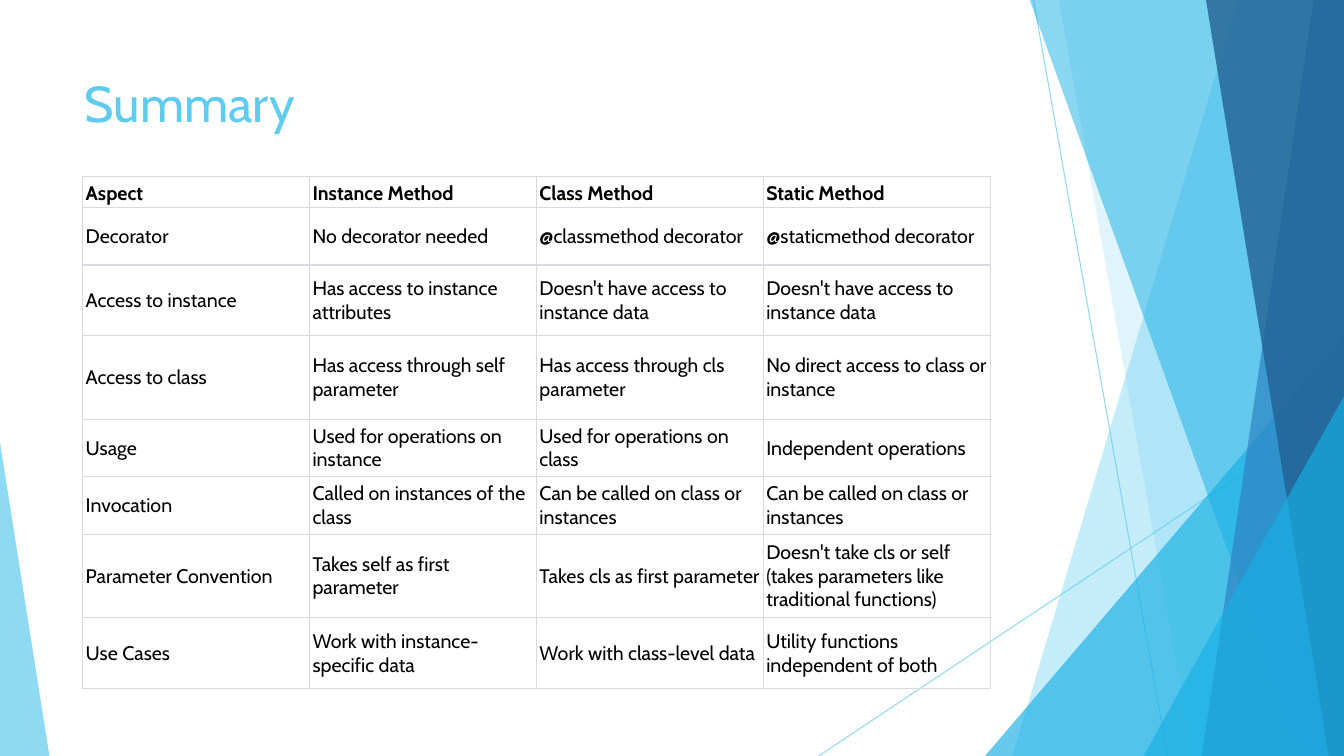
from lxml import etree
from pptx import Presentation
from pptx.dml.color import RGBColor
from pptx.enum.shapes import MSO_CONNECTOR, MSO_SHAPE
from pptx.enum.text import MSO_ANCHOR, MSO_AUTO_SIZE, PP_ALIGN
from pptx.oxml.ns import qn
from pptx.util import Pt

STRAIGHT = MSO_CONNECTOR.STRAIGHT
TRIANGLE = MSO_SHAPE.ISOSCELES_TRIANGLE
TOP, MIDDLE, BOTTOM = MSO_ANCHOR.TOP, MSO_ANCHOR.MIDDLE, MSO_ANCHOR.BOTTOM
NO_AUTOFIT = MSO_AUTO_SIZE.NONE
LEFT = PP_ALIGN.LEFT

PX = 9144
WIDTH, HEIGHT = 1333, 750
TITLE_ONLY = 5
FONT = "Cabin"

SKY = RGBColor(0x5F, 0xCB, 0xEF)
CYAN = RGBColor(0x17, 0xB0, 0xE4)
BLUE = RGBColor(0x2E, 0x83, 0xC3)
NAVY = RGBColor(0x22, 0x62, 0x92)
BLACK = RGBColor(0, 0, 0)
GRID = RGBColor(0xD9, 0xD9, 0xE3)

TITLE_FONT = {"name": FONT, "size": Pt(36), "bold": False}
CELL_FONT = {"name": FONT, "size": Pt(14)}
CELL_BOX = {"margin_left": 3 * PX, "margin_right": 3 * PX,
            "margin_top": 2 * PX, "margin_bottom": 2 * PX}

RAYS = [(1025, 0, 1158, HEIGHT), (WIDTH, 403, 812, HEIGHT)]
SHARDS = [
    ("band", (1228, 1004), SKY, 36),
    ("band", (1050, 1183), SKY, 20),
    ("triangle", (977, 333, 356, 417, 1), CYAN, 66),
    ("band", (1021, 1291), CYAN, 50),
    ("band", (1303, 1192), BLUE, 70),
    ("band", (1196, 1318), NAVY, 80),
    ("triangle", (1134, 393, 199, 357, 1), CYAN, 66),
    ("triangle", (0, 439, 49, 311, 0), SKY, 70),
]

ROW_HEIGHTS = [31, 57, 70, 83, 57, 57, 83, 70]
METHODS = [
    ["Aspect", "Instance Method", "Class Method", "Static Method"],
    ["Decorator", "No decorator needed", "@classmethod decorator",
     "@staticmethod decorator"],
    ["Access to instance", "Has access to instance attributes",
     "Doesn't have access to instance data",
     "Doesn't have access to instance data"],
    ["Access to class", "Has access through self parameter",
     "Has access through cls parameter",
     "No direct access to class or instance"],
    ["Usage", "Used for operations on instance",
     "Used for operations on class", "Independent operations"],
    ["Invocation", "Called on instances of the class",
     "Can be called on class or instances",
     "Can be called on class or instances"],
    ["Parameter Convention", "Takes self as first parameter",
     "Takes cls as first parameter",
     "Doesn't take cls or self\v(takes parameters like traditional functions)"],
    ["Use Cases", "Work with instance-specific data",
     "Work with class-level data", "Utility functions independent of both"],
]


def apply(target, values):
    for name, value in values.items():
        setattr(target, name, value)


def set_alpha(fill_parent, percent):
    color = fill_parent.find(".//" + qn("a:srgbClr"))
    etree.SubElement(color, qn("a:alpha"), val=str(percent * 1000))


class Deck:
    def __init__(self):
        self.prs = Presentation()
        self.prs.slide_width, self.prs.slide_height = WIDTH * PX, HEIGHT * PX
        self.s = self.prs.slides.add_slide(self.prs.slide_layouts[TITLE_ONLY])

    def ray(self, x1, y1, x2, y2):
        line = self.s.shapes.add_connector(
            STRAIGHT, x1 * PX, y1 * PX, x2 * PX, y2 * PX)
        line.line.color.rgb = SKY
        line.line.width = Pt(0.75)
        spPr = line.element.spPr
        set_alpha(spPr, 70)
        etree.SubElement(spPr, qn("a:effectLst"))

    def paint(self, sp, color, alpha):
        sp.shadow.inherit = False
        sp.fill.solid()
        sp.fill.fore_color.rgb = color
        set_alpha(sp.element.spPr, alpha)
        sp.line.fill.background()

    def band(self, top_x, bottom_x):
        outline = self.s.shapes.build_freeform(top_x, -1, scale=PX)
        outline.add_line_segments(
            [(WIDTH, -1), (WIDTH, HEIGHT), (bottom_x, HEIGHT)], close=True)
        return outline.convert_to_shape()

    def triangle(self, x, y, w, h, apex):
        sp = self.s.shapes.add_shape(TRIANGLE, x * PX, y * PX, w * PX, h * PX)
        sp.adjustments[0] = apex
        return sp

    def title(self, text, x, y, w, h):
        sp = self.s.shapes.title
        self.s.shapes.element.append(sp.element)
        apply(sp, {"left": x * PX, "top": y * PX,
                   "width": w * PX, "height": h * PX})
        tf = sp.text_frame
        tf.text = text
        apply(tf, {"vertical_anchor": TOP, "auto_size": NO_AUTOFIT,
                   "word_wrap": True})
        p = tf.paragraphs[0]
        p.alignment = LEFT
        r = p.runs[0]
        apply(r.font, TITLE_FONT)
        r.font.color.rgb = SKY

    def borders(self, cell, widths):
        tcPr = cell._tc.get_or_add_tcPr()
        for side, points in widths.items():
            ln = etree.SubElement(tcPr, qn("a:ln" + side), w=str(Pt(points)))
            fill = etree.SubElement(ln, qn("a:solidFill"))
            etree.SubElement(fill, qn("a:srgbClr"), val=str(GRID))

    def table(self, rows, heights, x, y, col_width):
        cols = len(rows[0])
        table = self.s.shapes.add_table(
            len(rows), cols, x * PX, y * PX,
            cols * col_width * PX, sum(heights) * PX).table
        apply(table, {"first_row": False, "horz_banding": False})
        for column in table.columns:
            column.width = col_width * PX
        last = len(rows) - 1
        for i, (texts, height) in enumerate(zip(rows, heights)):
            table.rows[i].height = height * PX
            header = i == 0
            widths = {"L": 0.6, "R": 0.6, "T": 0.6 if header else 1,
                      "B": 0.6 if i == last else 1}
            for j, text in enumerate(texts):
                cell = table.cell(i, j)
                cell.text = text
                apply(cell, CELL_BOX)
                cell.vertical_anchor = BOTTOM if header else MIDDLE
                self.borders(cell, widths)
                cell.fill.background()
                for r in cell.text_frame.paragraphs[0].runs:
                    apply(r.font, CELL_FONT)
                    r.font.bold = header
                    r.font.color.rgb = BLACK


def main():
    deck = Deck()
    for ray in RAYS:
        deck.ray(*ray)
    draw = {"band": deck.band, "triangle": deck.triangle}
    for kind, geometry, color, alpha in SHARDS:
        deck.paint(draw[kind](*geometry), color, alpha)
    deck.title("Summary", 74, 67, 940, 144)
    deck.table(METHODS, ROW_HEIGHTS, 82, 175, 225)
    deck.prs.save("out.pptx")


if __name__ == "__main__":
    main()
